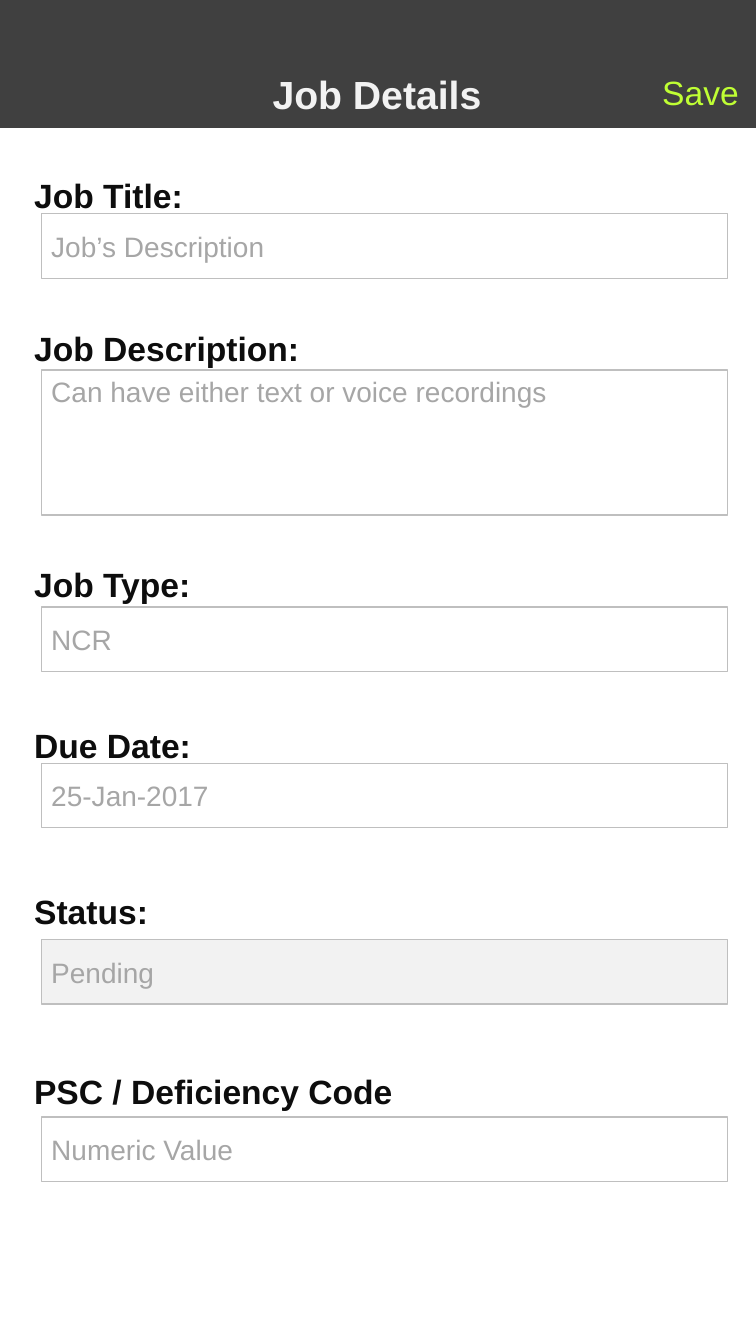
from pptx import Presentation
from pptx.dml.color import RGBColor
from pptx.enum.shapes import MSO_SHAPE
from pptx.enum.text import MSO_ANCHOR, PP_ALIGN
from pptx.util import Inches, Pt

RECTANGLE = MSO_SHAPE.RECTANGLE
TOP, MIDDLE = MSO_ANCHOR.TOP, MSO_ANCHOR.MIDDLE
LEFT, CENTER = PP_ALIGN.LEFT, PP_ALIGN.CENTER

WIDTH, HEIGHT = Inches(7.5), Inches(13.33)
COLUMN, ROW = WIDTH / 75, HEIGHT / 133.3

COLORS = {
    "header": "404040",
    "title": "F2F2F2",
    "save": "BFFE34",
    "label": "0D0D0D",
    "hint": "A6A6A6",
    "border": "BFBFBF",
    "editable": "FFFFFF",
    "locked": "F2F2F2",
}

FORMATS = {
    "title": {"size": Pt(28), "bold": True},
    "save": {"size": Pt(24), "bold": False},
    "label": {"size": Pt(24), "bold": True},
    "hint": {"size": Pt(20), "bold": False},
}

LABEL_LEFT, INPUT_LEFT = 2.4, 4.1
INPUT_WIDTH, INPUT_HEIGHT = 68.1, 6.4

FIELDS = [
    ("Job Title:", (14.2, 74.2, 10.3), "Job’s Description", 21.2, {}),
    ("Job Description:", (29.4, 74.2, 10.3), "Can have either text or voice recordings", 36.7,
     {"height": 14.4, "anchor": TOP}),
    ("Job Type:", (54, 18.5, 7.9), "NCR", 60.2, {}),
    ("Due Date:", (69.9, 18.5, 7.9), "25-Jan-2017", 75.7, {}),
    ("Status:", (86.4, 18.5, 7.9), "Pending", 93.2, {"fill": "locked"}),
    ("PSC / Deficiency Code", (104.3, 56.4, 7.9), "Numeric Value", 110.8, {}),
]


def color(name):
    return RGBColor.from_string(COLORS[name])


def place(left, top, width, height):
    return [round(length) for length in (left * COLUMN, top * ROW, width * COLUMN, height * ROW)]


def write(shape, text, style, alignment=LEFT, anchor=MIDDLE):
    frame = shape.text_frame
    frame.word_wrap = True
    frame.vertical_anchor = anchor
    paragraph = frame.paragraphs[0]
    paragraph.alignment = alignment
    run = paragraph.add_run()
    run.text = text
    run.font.name = "Arial"
    run.font.color.rgb = color(style)
    for attribute, value in FORMATS[style].items():
        setattr(run.font, attribute, value)


def add_text(slide, area, text, style, alignment=LEFT):
    write(slide.shapes.add_textbox(*place(*area)), text, style, alignment)


def add_box(slide, area, fill, border=None):
    shape = slide.shapes.add_shape(RECTANGLE, *place(*area))
    shape.shadow.inherit = False
    shape.fill.solid()
    shape.fill.fore_color.rgb = color(fill)
    if border:
        shape.line.color.rgb = color(border)
        shape.line.width = Pt(1)
    else:
        shape.line.fill.background()
    return shape


def add_header(slide):
    add_box(slide, (0, 0, 75, 12.7), "header")
    add_text(slide, (21.1, 5.8, 32.6, 7), "Job Details", "title", CENTER)
    add_text(slide, (58.8, 5.6, 21.4, 7), "Save", "save", CENTER)


def add_field(slide, label, label_area, hint, input_top, height=INPUT_HEIGHT, anchor=MIDDLE, fill="editable"):
    add_text(slide, (LABEL_LEFT, *label_area), label, "label")
    box = add_box(slide, (INPUT_LEFT, input_top, INPUT_WIDTH, height), fill, "border")
    write(box, hint, "hint", anchor=anchor)


def main():
    presentation = Presentation()
    presentation.slide_width, presentation.slide_height = WIDTH, HEIGHT
    slide = presentation.slides.add_slide(presentation.slide_layouts[6])
    add_header(slide)
    for label, label_area, hint, input_top, options in FIELDS:
        add_field(slide, label, label_area, hint, input_top, **options)
    presentation.save("out.pptx")


if __name__ == "__main__":
    main()
